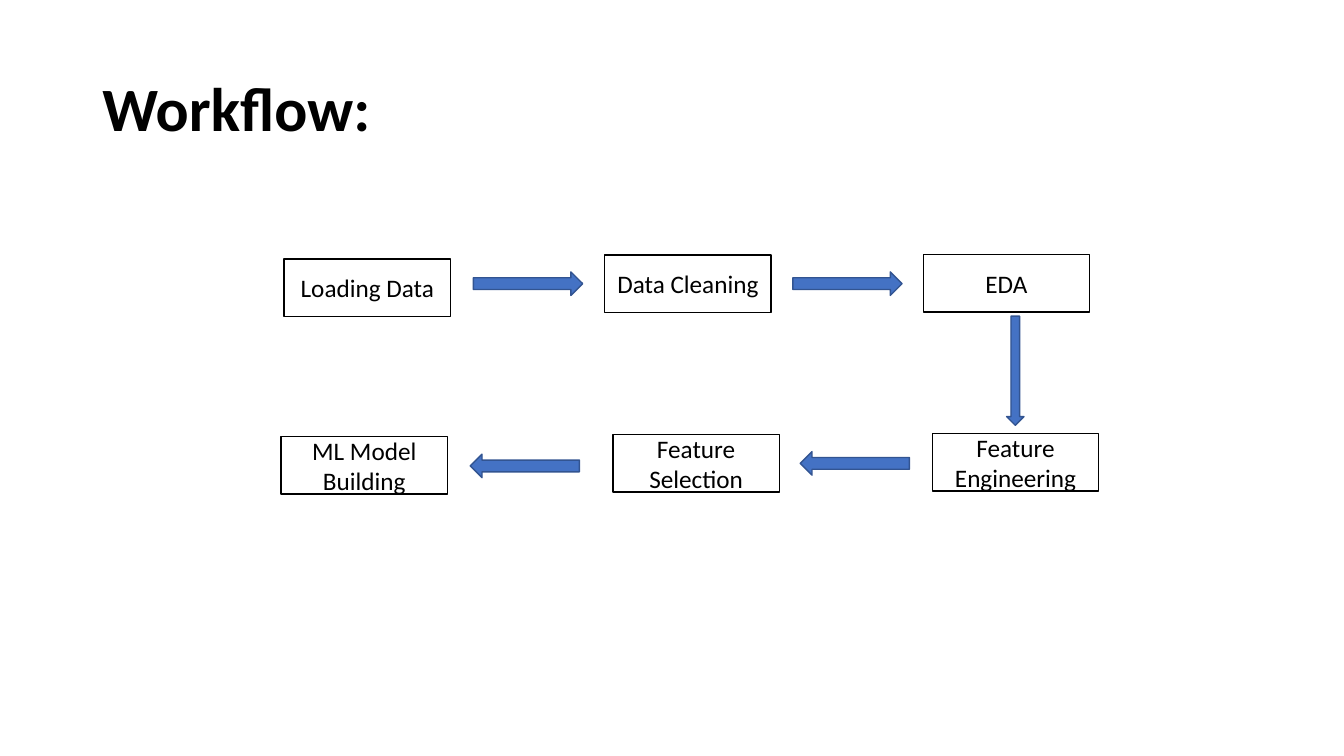
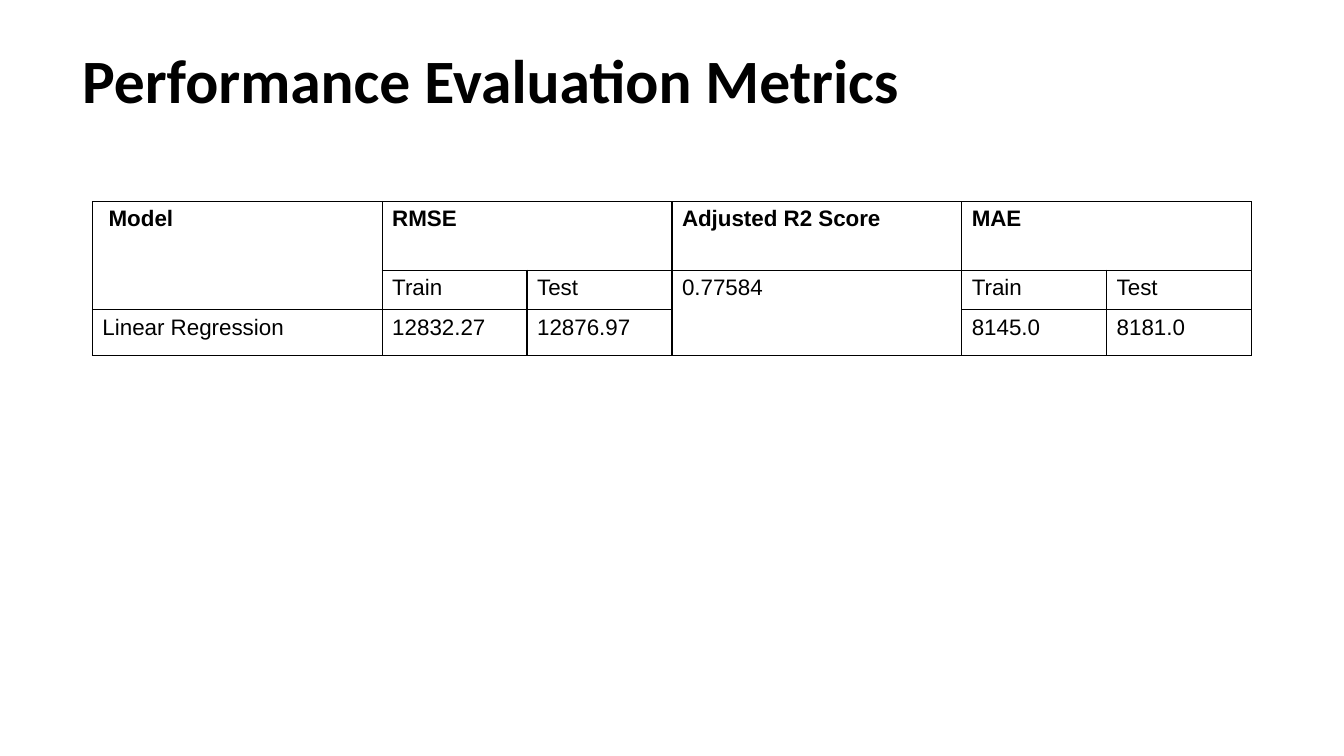
"""Build a two-slide deck: a machine learning workflow and its performance metrics."""
from dataclasses import dataclass

from lxml.etree import SubElement
from pptx import Presentation
from pptx.dml.color import RGBColor
from pptx.enum.shapes import MSO_SHAPE as Shape
from pptx.enum.text import MSO_ANCHOR as Anchor, PP_ALIGN as Align
from pptx.oxml.ns import qn
from pptx.util import Pt


@dataclass(frozen=True)
class Theme:
    ink: str = "000000"
    paper: str = "FFFFFF"
    arrow_fill: str = "4472C4"
    arrow_line: str = "325491"
    body_font: str = "Calibri"
    table_font: str = "Arial"
    title_size: int = 44
    step_size: int = 18
    table_size: int = 16
    line_width: int = 1


theme = Theme()


def write_text(frame, text, size, font=theme.body_font, bold=False,
               align=Align.LEFT, anchor=Anchor.MIDDLE, spacing=1.0):
    frame.word_wrap = True
    frame.vertical_anchor = anchor
    para = frame.paragraphs[0]
    para.alignment = align
    para.line_spacing = spacing
    span = para.add_run()
    span.text = text
    span.font.name = font
    span.font.size = Pt(size)
    span.font.bold = bold
    span.font.color.rgb = RGBColor.from_string(theme.ink)


def add_outlined(page, kind, left, top, width, height, fill, line):
    shape = page.shapes.add_shape(kind, Pt(left), Pt(top), Pt(width), Pt(height))
    shape.shadow.inherit = False
    shape.fill.solid()
    shape.fill.fore_color.rgb = RGBColor.from_string(fill)
    shape.line.color.rgb = RGBColor.from_string(line)
    shape.line.width = Pt(theme.line_width)
    return shape


deck = Presentation()
deck.slide_width, deck.slide_height = Pt(960), Pt(540)

pages = []
for title, left, top in [("Workflow:", 66, 27.6),
                         ("Performance Evaluation Metrics", 51.6, 7.8)]:
    page = deck.slides.add_slide(deck.slide_layouts[6])
    title_box = page.shapes.add_textbox(Pt(left), Pt(top), Pt(828), Pt(104.4))
    write_text(title_box.text_frame, title, theme.title_size, bold=True, spacing=0.9)
    pages.append(page)
workflow_page, metrics_page = pages

steps = [
    ("Loading Data", 203, 185),
    ("Data Cleaning", 432, 182),
    ("EDA", 659.5, 181.6),
    ("Feature Engineering", 666, 309.5),
    ("Feature Selection", 437.8, 310.3),
    ("ML Model Building", 200.8, 311.8),
]
for label, left, top in steps:
    step = add_outlined(workflow_page, Shape.RECTANGLE, left, top, 118.8, 41.2,
                        theme.paper, theme.ink)
    write_text(step.text_frame, label, theme.step_size, align=Align.CENTER)

arrows = [
    (338.2, 194.2, 16.8, 0),
    (566.4, 194.2, 16.8, 0),
    (686.2, 258.6, 12.4, 90),
    (571.6, 322.6, 16.8, 180),
    (335.9, 324.4, 16.8, 180),
]
for left, top, thickness, angle in arrows:
    arrow = add_outlined(workflow_page, Shape.RIGHT_ARROW, left, top, 78, thickness,
                         theme.arrow_fill, theme.arrow_line)
    arrow.rotation = angle

metrics = [
    [" Model", "RMSE", "", "Adjusted R2 Score", "MAE", ""],
    ["", "Train", "Test", "0.77584", "Train", "Test"],
    ["Linear Regression", "12832.27", "12876.97", "", "8145.0", "8181.0"],
]
wide, narrow = 207, 103.5
column_widths = [wide, narrow, narrow, wide, narrow, narrow]
row_heights = [49, 28.4, 32.4]
table_frame = metrics_page.shapes.add_table(
    len(row_heights), len(column_widths), Pt(66), Pt(144),
    Pt(sum(column_widths)), Pt(sum(row_heights)))
table = table_frame.table
table.first_row = table.horz_banding = False
for column, width in zip(table.columns, column_widths):
    column.width = Pt(width)
for row, height in zip(table.rows, row_heights):
    row.height = Pt(height)

for first, last in [((0, 0), (1, 0)), ((0, 1), (0, 2)),
                    ((0, 4), (0, 5)), ((1, 3), (2, 3))]:
    table.cell(*first).merge(table.cell(*last))

for row_index, values in enumerate(metrics):
    for column_index, value in enumerate(values):
        cell = table.cell(row_index, column_index)
        properties = cell._tc.get_or_add_tcPr()
        for side in ("lnL", "lnR", "lnT", "lnB"):
            border = SubElement(properties, qn(f"a:{side}"), w=str(Pt(theme.line_width)))
            border_fill = SubElement(border, qn("a:solidFill"))
            SubElement(border_fill, qn("a:srgbClr"), val=theme.ink)
        cell.fill.background()
        if value:
            write_text(cell.text_frame, value, theme.table_size, font=theme.table_font,
                       bold=row_index == 0, anchor=Anchor.TOP)
            cell.vertical_anchor = Anchor.TOP

deck.save("out.pptx")
